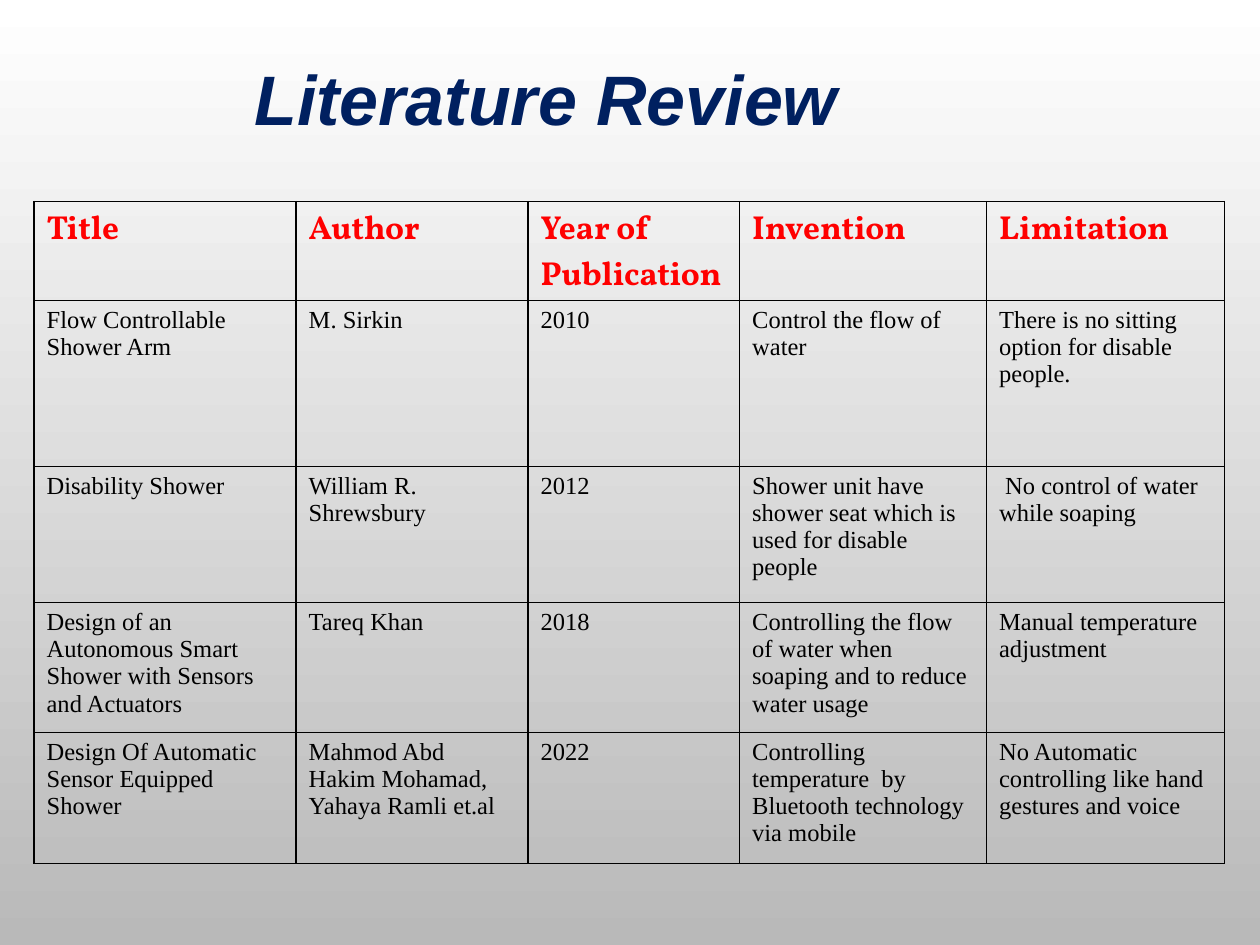
import pptx
import pptx.dml.color
import pptx.enum.text
import pptx.oxml.ns
import pptx.util
from lxml import etree
from pptx.util import Inches

COLORS = {"title": "002060", "header": "FF0000", "body": "000000",
          "border": "000000", "top": "FFFFFF", "bottom": "B9B9B9"}
COLS = [2.08, 1.84, 1.68, 1.96, 1.89]
HEIGHTS = [0.73, 1.32, 1.08, 1.03, 1.04]
ROWS = [
    ["Title", "Author", "Year of Publication", "Invention", "Limitation"],
    ["Flow Controllable\nShower Arm", "M. Sirkin", "2010",
     "Control the flow of water",
     "There is no sitting option for disable people."],
    ["Disability Shower", "William R. Shrewsbury", "2012",
     "Shower unit have shower seat which is used for disable people",
     " No control of water while soaping"],
    ["Design of an Autonomous Smart Shower with Sensors and Actuators",
     "Tareq Khan", "2018",
     "Controlling the flow of water when soaping and to reduce water usage",
     "Manual temperature adjustment"],
    ["Design Of Automatic Sensor Equipped Shower",
     "Mahmod Abd Hakim Mohamad, Yahaya Ramli et.al", "2022",
     "Controlling temperature  by Bluetooth technology via mobile",
     "No Automatic controlling like hand gestures and voice"],
]


def rgb(name):
    return pptx.dml.color.RGBColor.from_string(COLORS[name])


def write(tf, text, font, size, color, bold=False, italic=False):
    tf.text = text
    for p in tf.paragraphs:
        p.alignment = pptx.enum.text.PP_ALIGN.LEFT
        for r in p.runs:
            r.font.name = font
            r.font.size = pptx.util.Pt(size)
            r.font.bold = bold
            r.font.italic = italic
            r.font.color.rgb = rgb(color)


def set_background(s):
    fill = s.background.fill
    fill.gradient()
    fill.gradient_angle = 270
    for stop, name in zip(fill.gradient_stops, ("top", "bottom")):
        stop.color.rgb = rgb(name)
        stop.position = float(name == "bottom")


def add_title(s, text):
    sp = s.shapes.title
    sp.left, sp.top = Inches(1.92), Inches(0.33)
    sp.width, sp.height = Inches(6.94), Inches(1.08)
    tf = sp.text_frame
    tf.vertical_anchor = pptx.enum.text.MSO_ANCHOR.TOP
    tf.margin_top = Inches(0.11)
    write(tf, text, "Arial", 40, "title", bold=True, italic=True)


def set_borders(cell):
    qn = pptx.oxml.ns.qn
    tc_pr = cell._tc.get_or_add_tcPr()
    for side in "LRTB":
        ln = etree.SubElement(tc_pr, qn(f"a:ln{side}"), w=str(pptx.util.Pt(1)))
        fill = etree.SubElement(ln, qn("a:solidFill"))
        etree.SubElement(fill, qn("a:srgbClr"), val=COLORS["border"])


def add_table(s):
    table = s.shapes.add_table(len(ROWS), len(COLS), Inches(0.27), Inches(1.6),
                               Inches(sum(COLS)), Inches(sum(HEIGHTS))).table
    table.first_row = table.horz_banding = False
    for col, width in zip(table.columns, COLS):
        col.width = Inches(width)
    for i, (row, height) in enumerate(zip(table.rows, HEIGHTS)):
        row.height = Inches(height)
        for cell, text in zip(row.cells, ROWS[i]):
            set_borders(cell)
            cell.fill.background()
            if i == 0:
                cell.margin_bottom = 0
                write(cell.text_frame, text, "Vollkorn", 19, "header", bold=True)
            else:
                write(cell.text_frame, text, "Times New Roman", 14, "body")


def main():
    """Build the literature review slide."""
    prs = pptx.Presentation()
    prs.slide_width, prs.slide_height = Inches(10), Inches(7.5)
    s = prs.slides.add_slide(prs.slide_layouts[5])
    set_background(s)
    add_title(s, "Literature Review")
    add_table(s)
    prs.save("out.pptx")


if __name__ == "__main__":
    main()
